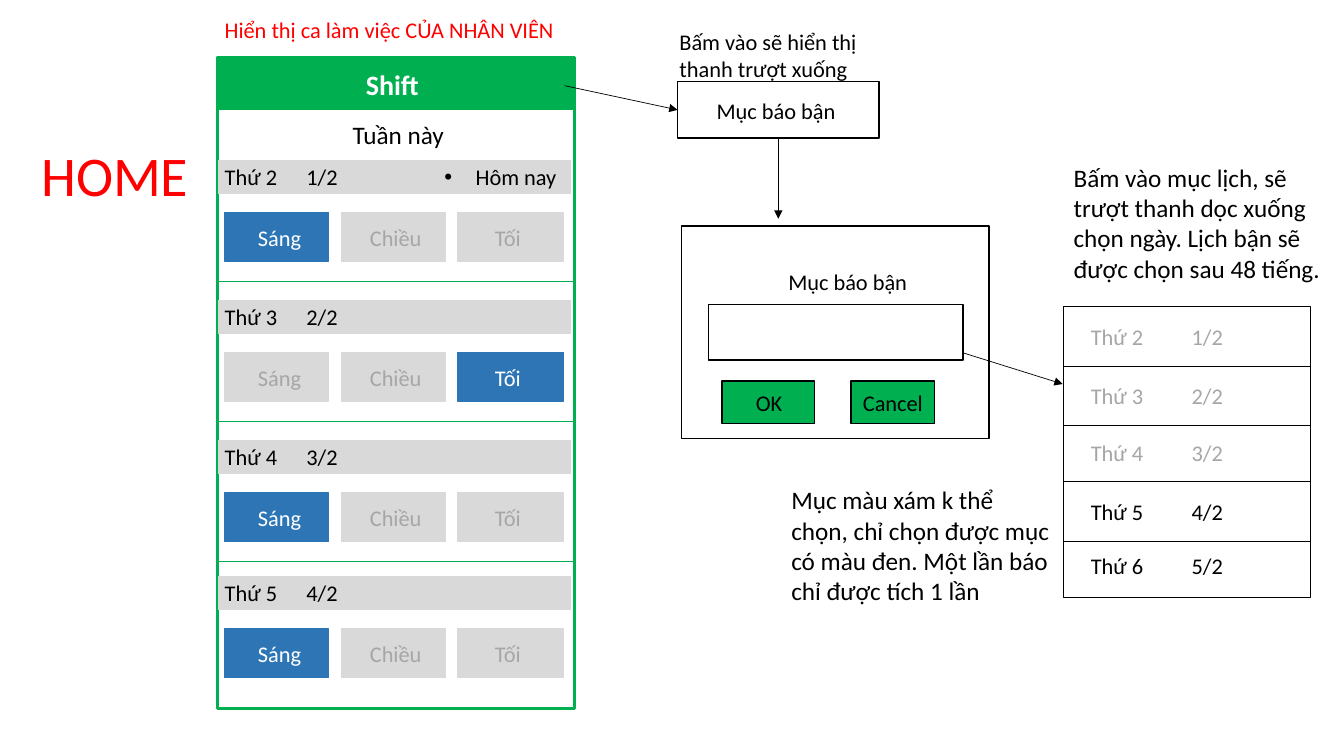
import pptx
import pptx.util
import pptx.dml.color
import pptx.enum.shapes
import pptx.enum.text
import pptx.oxml
import pptx.oxml.ns

PX = 9144
BLACK, WHITE, RED = "000000", "FFFFFF", "FF0000"
GREEN, BLUE, GRAY, DIM = "00B050", "2E75B6", "D9D9D9", "A6A6A6"

DAYS = [
    (159, "Thứ 2", "1/2", "Sáng"),
    (298, "Thứ 3", "2/2", "Tối"),
    (437, "Thứ 4", "3/2", "Sáng"),
    (572, "Thứ 5", "4/2", "Sáng"),
]
SHIFTS = [
    ("Sáng", 223, 103, 246, 72),
    ("Chiều", 339, 103, 357, 85),
    ("Tối", 454, 105, 481, 79),
]
DATES = [
    (316, "Thứ 2\t1/2", DIM),
    (374, "Thứ 3\t2/2", DIM),
    (431, "Thứ 4\t3/2", DIM),
    (489, "Thứ 5\t4/2", BLACK),
    (543, "Thứ 6\t5/2", BLACK),
]


def px(n):
    return pptx.util.Emu(n * PX)


def rgb(value):
    return pptx.dml.color.RGBColor.from_string(value)


def add_child(parent, tag, **attrs):
    el = pptx.oxml.ns.qn(tag)
    child = parent.makeelement(el, attrs)
    parent.append(child)
    return child


def add_box(shapes, x, y, w, h, fill=None, line=BLACK, weight=1):
    sp = shapes.add_shape(pptx.enum.shapes.MSO_SHAPE.RECTANGLE, px(x), px(y), px(w), px(h))
    sp.shadow.inherit = False
    if fill:
        sp.fill.solid()
        sp.fill.fore_color.rgb = rgb(fill)
    else:
        sp.fill.background()
    sp.line.color.rgb = rgb(line)
    sp.line.width = pptx.util.Pt(weight)
    return sp


def add_text(shapes, text, x, y, w, h=37, size=16, color=BLACK, bold=False, bullet=False):
    sp = shapes.add_textbox(px(x), px(y), px(w), px(h))
    tf = sp.text_frame
    tf.word_wrap = True
    tf.auto_size = pptx.enum.text.MSO_AUTO_SIZE.SHAPE_TO_FIT_TEXT
    p = tf.paragraphs[0]
    if bullet:
        pPr = p._p.get_or_add_pPr()
        pPr.set("marL", str(px(31)))
        pPr.set("indent", str(-px(31)))
        add_child(pPr, "a:buFont", typeface="Arial")
        add_child(pPr, "a:buChar", char="•")
    r = p.add_run()
    r.text = text
    r.font.name = "Calibri"
    r.font.size = pptx.util.Pt(size)
    r.font.bold = bold
    r.font.color.rgb = rgb(color)
    return sp


def add_line(shapes, x1, y1, x2, y2, color=BLACK, arrow=False):
    cn = shapes.add_connector(
        pptx.enum.shapes.MSO_CONNECTOR.STRAIGHT, px(x1), px(y1), px(x2), px(y2))
    cn.line.color.rgb = rgb(color)
    cn.line.width = pptx.util.Pt(0.5)
    if arrow:
        add_child(cn.line._get_or_add_ln(), "a:tailEnd", type="triangle")
    add_child(cn._element.spPr, "a:effectLst")
    return cn


def add_day(shapes, top, day, date, chosen):
    add_box(shapes, 217, top, 349, 33, GRAY, GRAY)
    add_text(shapes, day, 213, top - 2, 88)
    add_text(shapes, date, 294, top - 2, 59)
    group = shapes.add_group_shape().shapes
    for name, x, w, text_x, text_w in SHIFTS:
        fill, color = (BLUE, WHITE) if name == chosen else (GRAY, DIM)
        add_box(group, x, top + 52, w, 48, fill, fill)
        add_text(group, name, text_x, top + 58, text_w, color=color)


def add_phone(shapes):
    add_box(shapes, 216, 57, 354, 646, line=GREEN, weight=2.25)
    add_box(shapes, 216, 57, 354, 51, GREEN, GREEN, 2.25)
    add_text(shapes, "Shift", 353, 62, 139, 44, size=20, color=WHITE, bold=True)
    add_text(shapes, "Hiển thị ca làm việc CỦA NHÂN VIÊN", 213, 11, 360, color=RED)
    add_text(shapes, "Tuần này", 340, 113, 116, 40, size=18)
    for day in DAYS:
        add_day(shapes, *day)
    for top, *_ in DAYS[:-1]:
        add_line(shapes, 216, top + 120, 571, top + 120, GREEN)
    add_text(shapes, "Hôm nay", 431, 157, 147, bullet=True)


def add_dialog(shapes):
    add_box(shapes, 676, 224, 305, 211)
    add_text(shapes, "Mục báo bận", 772, 261, 147)
    add_box(shapes, 703, 302, 252, 55)
    add_box(shapes, 716, 378, 92, 42, GREEN)
    add_text(shapes, "OK", 740, 381, 54)
    add_box(shapes, 844, 378, 83, 42, GREEN)
    add_text(shapes, "Cancel", 846, 381, 92)


def add_menu(shapes):
    menu = add_box(shapes, 672, 81, 200, 56)
    add_text(shapes, "Mục báo bận", 701, 91, 147)
    add_text(shapes, "Bấm vào sẽ hiển thị thanh trượt xuống", 664, 23, 222, 64)
    add_line(shapes, 560, 85, 672, 109, arrow=True).end_connect(menu, 1)
    add_line(shapes, 772, 137, 772, 217, arrow=True).begin_connect(menu, 2)


def add_calendar(shapes):
    add_box(shapes, 1055, 304, 245, 289)
    for y in (363, 422, 478, 537):
        add_line(shapes, 1055, y, 1300, y)
    for y, text, color in DATES:
        add_text(shapes, text, 1072, y, 182, color=color)
    add_line(shapes, 955, 350, 1054, 381, arrow=True)


def main():
    prs = pptx.Presentation()
    prs.slide_width, prs.slide_height = px(1333), px(750)
    s = prs.slides.add_slide(prs.slide_layouts[6])
    add_phone(s.shapes)
    add_dialog(s.shapes)
    add_menu(s.shapes)
    add_calendar(s.shapes)
    add_text(s.shapes, "Bấm vào mục lịch, sẽ trượt thanh dọc xuống chọn ngày. "
             "Lịch bận sẽ được chọn sau 48 tiếng.", 1055, 156, 280, 131, size=18)
    add_text(s.shapes, "Mục màu xám k thể chọn, chỉ chọn được mục có màu đen. "
             "Một lần báo chỉ được tích 1 lần", 775, 476, 280, 131, size=18)
    add_text(s.shapes, "HOME", 31, 134, 252, 77, size=40, color=RED)
    prs.save("out.pptx")


if __name__ == "__main__":
    main()
